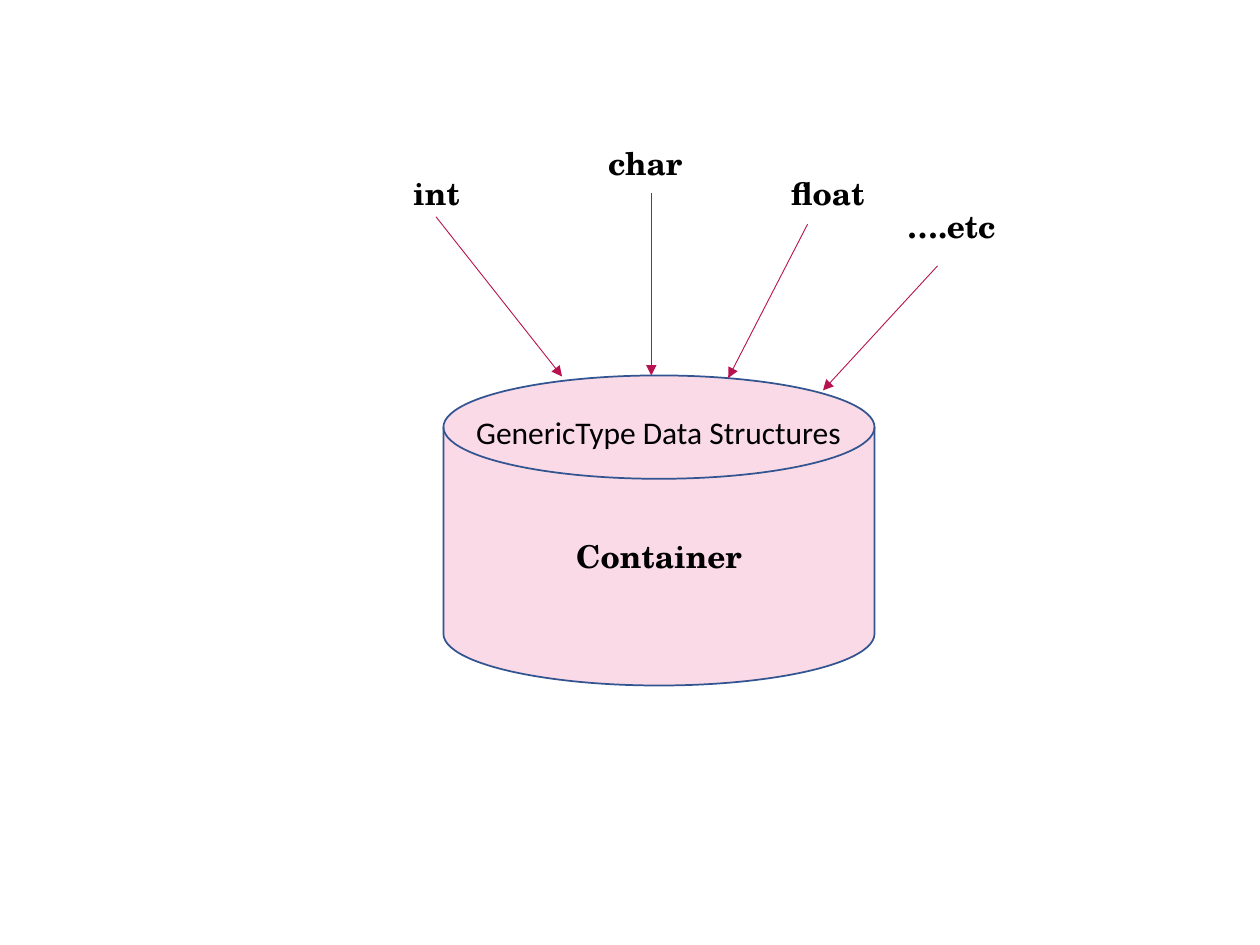
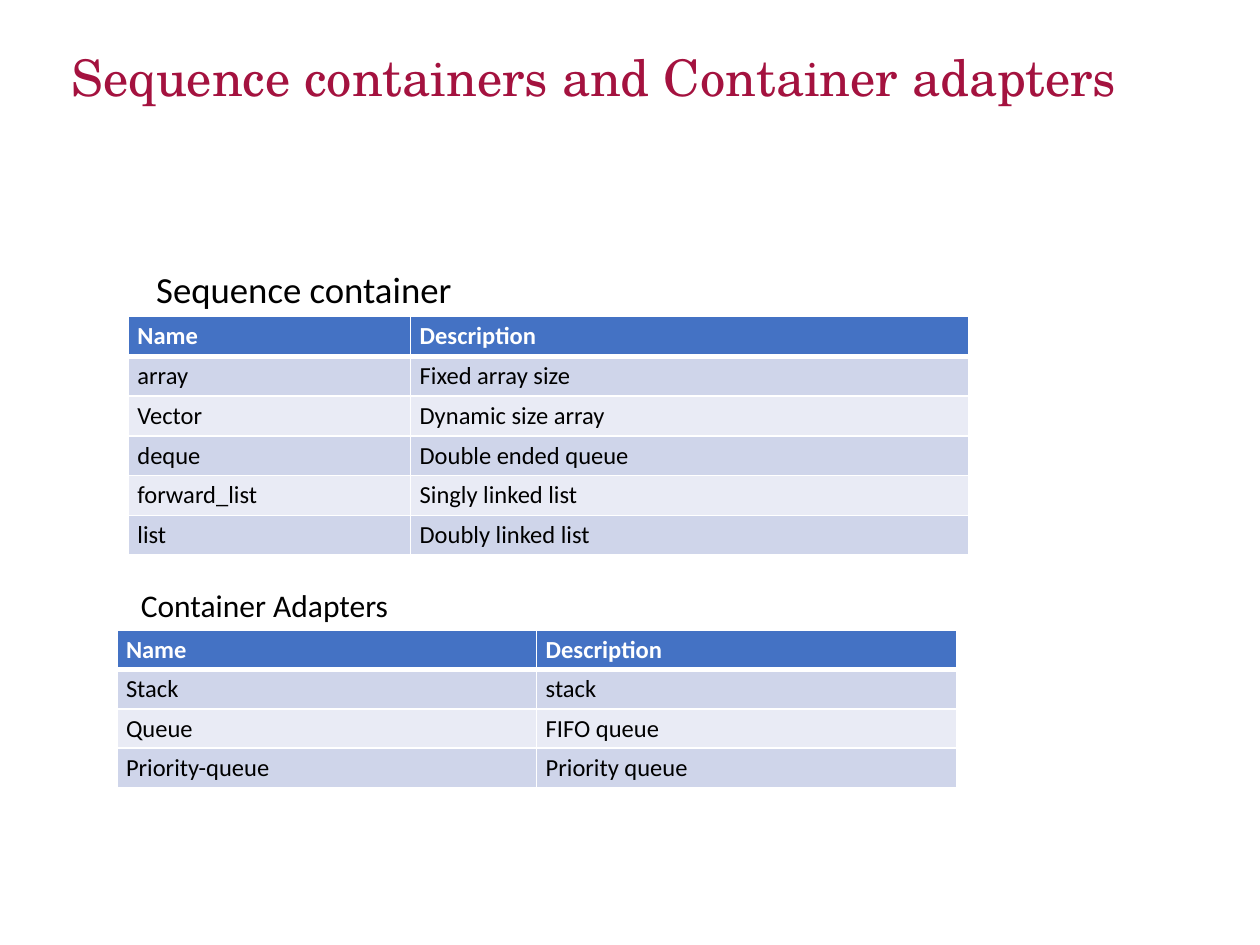
from dataclasses import dataclass

from lxml.etree import SubElement
from pptx import Presentation
from pptx.dml.color import RGBColor
from pptx.enum.shapes import MSO_CONNECTOR, MSO_SHAPE
from pptx.enum.text import MSO_ANCHOR, MSO_AUTO_SIZE, PP_ALIGN
from pptx.oxml.ns import qn
from pptx.slide import Slide
from pptx.table import _Cell as Cell
from pptx.util import Cm, Pt

SERIF = "TeX Gyre Schola"
SANS = "Calibri"
BLACK = "000000"
WHITE = "FFFFFF"
TITLE_RED = "A4123F"
ARROW_RED = "B8114F"
CONTAINER_PINK = "FADAE6"
CONTAINER_EDGE = "325491"
HEADER_BLUE = "4472C4"
BANDS = ("CFD5EA", "E9EBF5")

LABEL_HEIGHT = 1.02
ROW_HEIGHT = 0.78


@dataclass
class Label:
    text: str
    left: float
    top: float
    width: float
    size: float = 18
    font: str = SERIF
    bold: bool = True
    wrap: bool = True


@dataclass
class Arrow:
    start: tuple[float, float]
    end: tuple[float, float]


@dataclass
class Listing:
    caption: Label
    left: float
    top: float
    widths: tuple[float, ...]
    entries: list[tuple[str, str]]


DATA_TYPES = [
    (Label("int", 8.08, 3.38, 2.54), Arrow((8.79, 4.37), (11.33, 7.59))),
    (Label("char", 12.01, 2.77, 2.54), Arrow((13.13, 3.89), (13.13, 7.57))),
    (Label("float", 15.7, 3.38, 3.23), Arrow((16.28, 4.52), (14.68, 7.62))),
    (Label("….etc", 18.03, 4.04, 3.23), Arrow((18.9, 5.36), (16.59, 7.87))),
]

LISTINGS = [
    Listing(
        Label("Sequence container", 2.9, 5.26, 6.53, 21, SANS, False, False),
        2.59, 6.38, (5.69, 11.24),
        [
            ("array", "Fixed array size"),
            ("Vector", "Dynamic size array"),
            ("deque", "Double ended queue"),
            ("forward_list", "Singly linked list"),
            ("list", "Doubly linked list"),
        ],
    ),
    Listing(
        Label("Container Adapters", 2.59, 11.68, 5.56, 18, SANS, False, False),
        2.36, 12.7, (8.46, 8.46),
        [
            ("Stack", "stack"),
            ("Queue", "FIFO queue"),
            ("Priority-queue", "Priority queue"),
        ],
    ),
]


def rgb(code: str) -> RGBColor:
    return RGBColor.from_string(code)


def style(paragraph, font: str, size: float, color: str, bold: bool = False) -> None:
    paragraph.font.name = font
    paragraph.font.size = Pt(size)
    paragraph.font.bold = bold
    paragraph.font.color.rgb = rgb(color)


def draw_label(slide: Slide, label: Label) -> None:
    box = slide.shapes.add_textbox(
        Cm(label.left), Cm(label.top), Cm(label.width), Cm(LABEL_HEIGHT))
    frame = box.text_frame
    frame.word_wrap = label.wrap
    frame.auto_size = MSO_AUTO_SIZE.SHAPE_TO_FIT_TEXT
    frame.text = label.text
    style(frame.paragraphs[0], label.font, label.size, BLACK, label.bold)


def draw_arrow(slide: Slide, arrow: Arrow) -> None:
    ends = [Cm(value) for value in (*arrow.start, *arrow.end)]
    connector = slide.shapes.add_connector(MSO_CONNECTOR.STRAIGHT, *ends)
    connector.line.color.rgb = rgb(ARROW_RED)
    connector.line.width = Pt(0.5)
    properties = connector._element.spPr
    SubElement(properties.find(qn("a:ln")), qn("a:tailEnd"), type="triangle")
    SubElement(properties, qn("a:effectLst"))


def draw_container(slide: Slide) -> None:
    container = slide.shapes.add_shape(
        MSO_SHAPE.FLOWCHART_MAGNETIC_DISK, Cm(8.94), Cm(7.57), Cm(8.69), Cm(6.25))
    container.shadow.inherit = False
    container.fill.solid()
    container.fill.fore_color.rgb = rgb(CONTAINER_PINK)
    container.line.color.rgb = rgb(CONTAINER_EDGE)
    container.line.width = Pt(1)
    frame = container.text_frame
    frame.vertical_anchor = MSO_ANCHOR.MIDDLE
    frame.text = "Container"
    frame.paragraphs[0].alignment = PP_ALIGN.CENTER
    style(frame.paragraphs[0], SERIF, 18, BLACK, True)


def set_borders(cell: Cell, bottom: float, top: float) -> None:
    """Draw white borders; the side ones are always 1 pt wide."""
    properties = cell._tc.get_or_add_tcPr()
    for side, width in (("L", 1), ("R", 1), ("T", top), ("B", bottom)):
        border = SubElement(properties, qn(f"a:ln{side}"), w=str(Pt(width)))
        fill = SubElement(border, qn("a:solidFill"))
        SubElement(fill, qn("a:srgbClr"), val=WHITE)


def draw_listing(slide: Slide, listing: Listing) -> None:
    rows = [("Name", "Description"), *listing.entries]
    table = slide.shapes.add_table(
        len(rows), len(listing.widths), Cm(listing.left), Cm(listing.top),
        Cm(sum(listing.widths)), Cm(ROW_HEIGHT * len(rows))).table
    for column, width in zip(table.columns, listing.widths):
        column.width = Cm(width)
    for row_index, row in enumerate(rows):
        table.rows[row_index].height = Cm(ROW_HEIGHT)
        is_header = row_index == 0
        background = HEADER_BLUE if is_header else BANDS[(row_index - 1) % 2]
        for column_index, text in enumerate(row):
            cell = table.cell(row_index, column_index)
            cell.margin_left = cell.margin_right = Cm(0.18)
            cell.margin_top = cell.margin_bottom = Cm(0.1)
            set_borders(cell, 3 if is_header else 1, 3 if row_index == 1 else 1)
            cell.fill.solid()
            cell.fill.fore_color.rgb = rgb(background)
            cell.text = text
            style(cell.text_frame.paragraphs[0], SANS, 14,
                  WHITE if is_header else BLACK, is_header)
    draw_label(slide, listing.caption)


def set_title(slide: Slide, text: str) -> None:
    title = slide.shapes.title
    title.left, title.top = Cm(1.19), Cm(0.97)
    title.width, title.height = Cm(23.34), Cm(1.3)
    frame = title.text_frame
    frame.auto_size = MSO_AUTO_SIZE.NONE
    frame.vertical_anchor = MSO_ANCHOR.MIDDLE
    frame.text = text
    paragraph = frame.paragraphs[0]
    paragraph.alignment = PP_ALIGN.LEFT
    paragraph.line_spacing = 0.9
    style(paragraph, SERIF, 28.8, TITLE_RED)


def build_container_slide(slide: Slide) -> None:
    draw_container(slide)
    draw_label(slide, Label("GenericType Data Structures", 9.35, 8.2, 9.07,
                            font=SANS, bold=False))
    for label, arrow in DATA_TYPES:
        draw_arrow(slide, arrow)
        draw_label(slide, label)


def build_listing_slide(slide: Slide) -> None:
    set_title(slide, "Sequence containers and Container adapters")
    for listing in LISTINGS:
        draw_listing(slide, listing)


def main() -> None:
    deck = Presentation()
    deck.slide_width, deck.slide_height = Cm(25.4), Cm(19.05)
    title_only, blank = deck.slide_layouts[5], deck.slide_layouts[6]
    build_container_slide(deck.slides.add_slide(blank))
    build_listing_slide(deck.slides.add_slide(title_only))
    deck.save("out.pptx")


if __name__ == "__main__":
    main()
